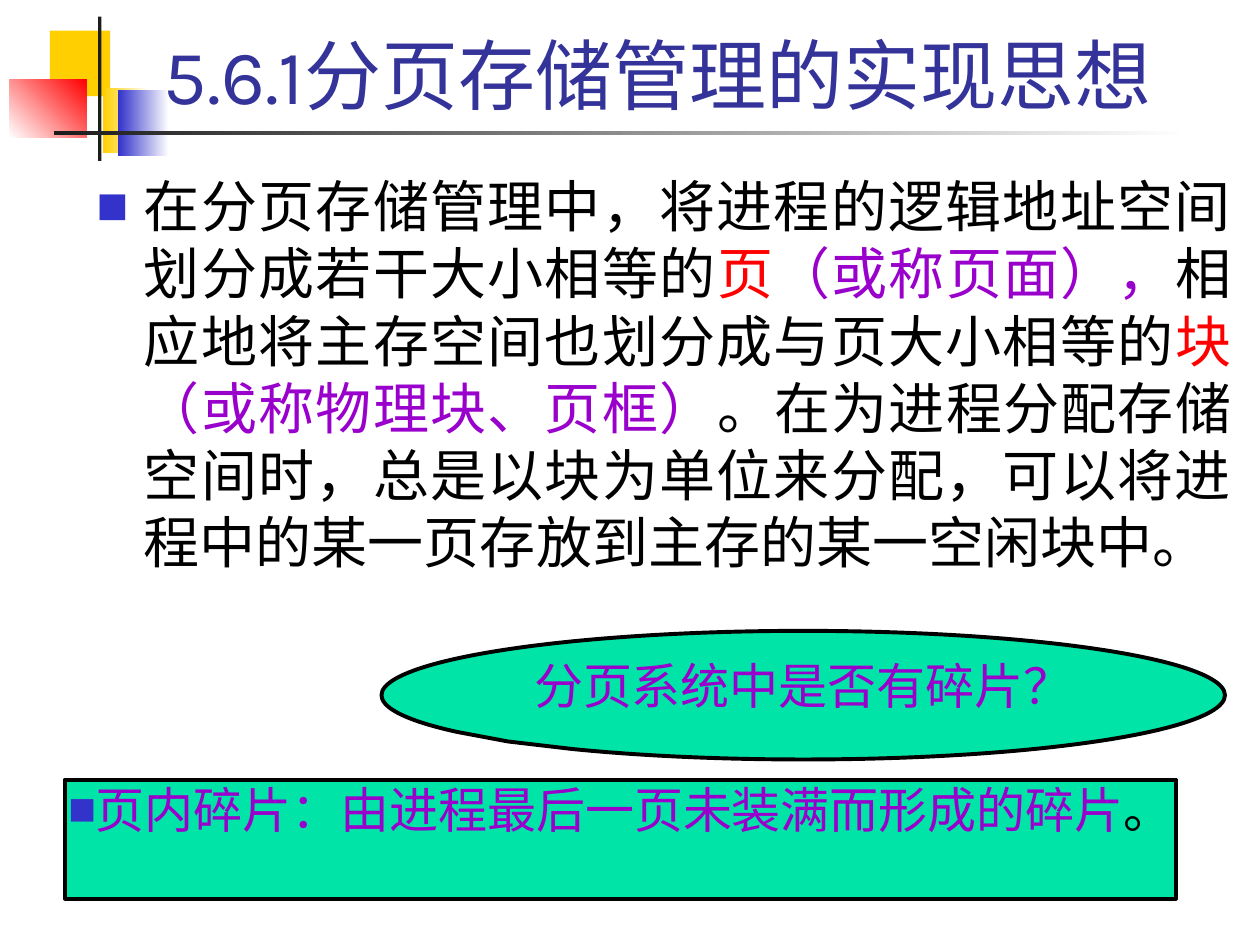
from lxml import etree
from pptx import Presentation
from pptx.dml.color import RGBColor
from pptx.enum import shapes, text
from pptx.oxml.ns import qn
from pptx.util import Pt

GOLD = RGBColor(0xFF, 0xCF, 0x01)
WHITE = RGBColor(0xFF, 0xFF, 0xFF)
BLUE = RGBColor(0x33, 0x33, 0xCC)
NAVY = RGBColor(0x33, 0x33, 0x99)
RED = RGBColor(0xFF, 0x00, 0x00)
INK = RGBColor(0x1C, 0x1C, 0x1C)
BLACK = RGBColor(0x00, 0x00, 0x00)
PURPLE = RGBColor(0x99, 0x00, 0xCC)
GREEN = RGBColor(0x00, 0xE4, 0xA8)
FACE = "Karla"
KIND = shapes.MSO_SHAPE
ALIGN = text.PP_ALIGN
ANCHOR = text.MSO_ANCHOR


def place(shape, box):
    shape.left, shape.top, shape.width, shape.height = map(Pt, box)


def add(slide, kind, box, fill):
    shape = slide.shapes.add_shape(kind, *map(Pt, box))
    shape.shadow.inherit = False
    shape.line.fill.background()
    shape.fill.solid()
    shape.fill.fore_color.rgb = fill
    return shape


def blend(shape, start, end, angle=0):
    shape.fill.gradient()
    shape.fill.gradient_angle = angle
    for stop, color, pos in zip(shape.fill.gradient_stops, (start, end), (0, 1)):
        stop.color.rgb = color
        stop.position = pos


def bullet(para, left=0, hang=0):
    props = para._p.get_or_add_pPr()
    props.set("marL", str(Pt(left)))
    props.set("indent", str(-Pt(hang)))
    color = etree.SubElement(props, qn("a:buClr"))
    etree.SubElement(color, qn("a:srgbClr"), val=str(BLUE))
    etree.SubElement(props, qn("a:buSzPct"), val="60000")
    etree.SubElement(props, qn("a:buFont"), typeface=FACE)
    etree.SubElement(props, qn("a:buChar"), char="■")


def write(para, parts, size, align):
    para.alignment = align
    para.space_before = Pt(0)
    for words, color in parts:
        run = para.add_run()
        run.text = words
        run.font.size = Pt(size)
        run.font.name = FACE
        run.font.color.rgb = color
        etree.SubElement(run._r.get_or_add_rPr(), qn("a:ea"), typeface=FACE)


def draw_mark(slide, box):
    left, top, width, height = box
    parts = [
        ((23, 8, 34.5, 37.5), GOLD, None, 0),
        ((53.5, 40.5, 26, 37.5), GOLD, WHITE, 0),
        ((62, 42, 29, 37.5), BLUE, WHITE, 0),
        ((0, 36, 44, 33), WHITE, RED, 45),
        ((50.5, 0, 2, height), INK, None, 0),
        ((25.5, 65.5, width - 25.5, 2), INK, WHITE, 0),
    ]
    for (x, y, w, h), start, end, angle in parts:
        shape = add(slide, KIND.RECTANGLE, (left + x, top + y, w, h), start)
        if end is not None:
            blend(shape, start, end, angle)


def fill_title(slide, box):
    title = slide.shapes.title
    slide.shapes._spTree.append(title._element)
    place(title, box)
    frame = title.text_frame
    frame.auto_size = text.MSO_AUTO_SIZE.NONE
    frame.vertical_anchor = ANCHOR.BOTTOM
    write(frame.paragraphs[0], [("5.6.1分页存储管理的实现思想", NAVY)], 44, ALIGN.LEFT)


def fill_body(slide, box):
    body = slide.placeholders[1]
    slide.shapes._spTree.append(body._element)
    place(body, box)
    frame = body.text_frame
    frame.auto_size = text.MSO_AUTO_SIZE.NONE
    para = frame.paragraphs[0]
    bullet(para, 27, 27)
    write(para, [
        ("在分页存储管理中，将进程的逻辑地址空间划分成若干大小相等的", BLACK),
        ("页", RED),
        ("（或称页面），", PURPLE),
        ("相应地将主存空间也划分成与页大小相等的", BLACK),
        ("块", RED),
        ("（或称物理块、页框）", PURPLE),
        ("。在为进程分配存储空间时，总是以块为单位来分配，"
         "可以将进程中的某一页存放到主存的某一空闲块中。", BLACK),
    ], 32, ALIGN.JUSTIFY)


def frame_panel(slide, kind, box):
    shape = add(slide, kind, box, GREEN)
    shape.line.color.rgb = BLACK
    shape.line.width = Pt(2.25)
    shape.text_frame.vertical_anchor = ANCHOR.TOP
    return shape


def draw_query(slide, box):
    shape = frame_panel(slide, KIND.OVAL_CALLOUT, box)
    shape.adjustments[0] = -0.35
    shape.adjustments[1] = 0.36
    frame = shape.text_frame
    frame.word_wrap = True
    write(frame.paragraphs[0], [("分页系统中是否有碎片？", PURPLE)], 28, ALIGN.CENTER)


def draw_answer(slide, box):
    frame = frame_panel(slide, KIND.RECTANGLE, box).text_frame
    frame.word_wrap = False
    frame.margin_top = Pt(0)
    para = frame.paragraphs[0]
    bullet(para)
    write(para, [
        ("页内碎片：由进程最后一页未装满而形成的碎片", PURPLE),
        ("。", BLACK),
    ], 28, ALIGN.CENTER)


def main():
    deck = Presentation()
    deck.slide_width, deck.slide_height = Pt(720), Pt(540)
    slide = deck.slides.add_slide(deck.slide_layouts[1])
    draw_mark(slide, (5.5, 9.5, 673.5, 82.5))
    fill_title(slide, (86.5, 12, 613.5, 60))
    fill_body(slide, (48, 94.5, 663, 240.5))
    draw_query(slide, (218, 360.5, 482, 73.5))
    draw_answer(slide, (37, 445.5, 635, 68))
    deck.save("out.pptx")


if __name__ == "__main__":
    main()
